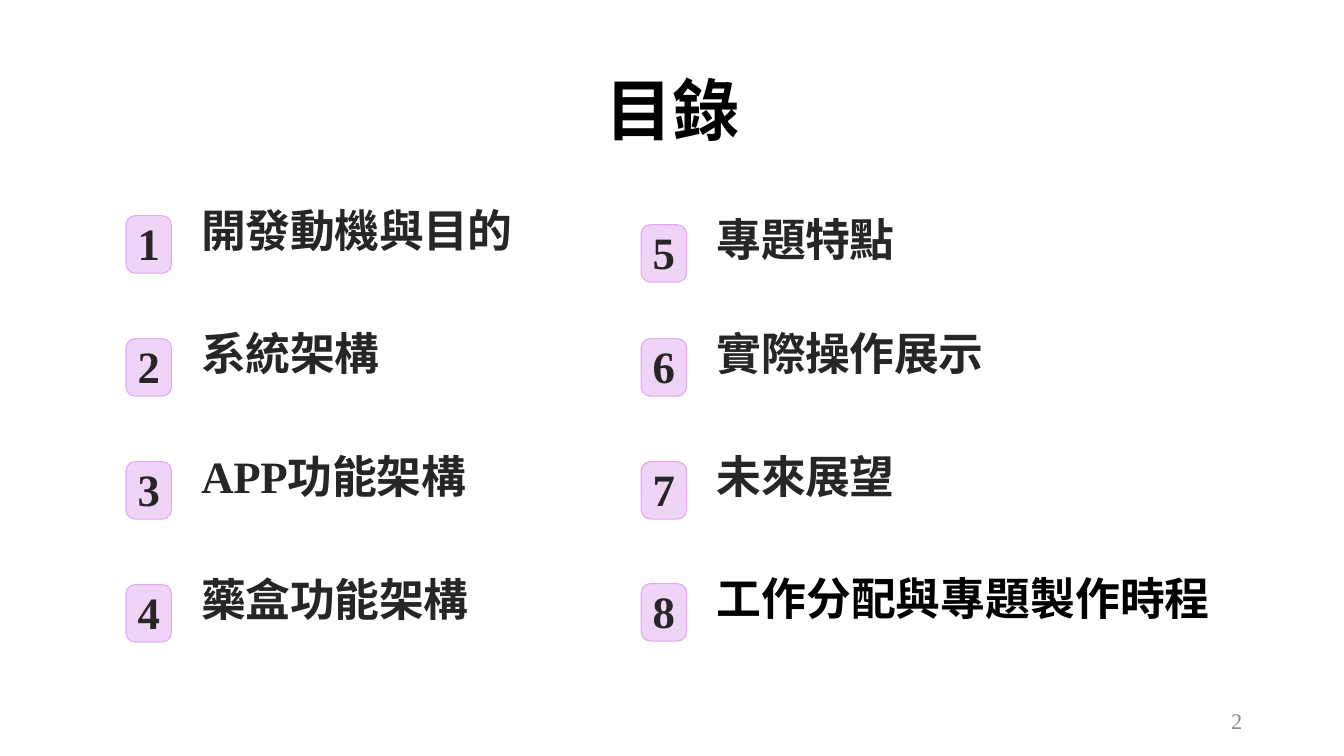
import pptx
import pptx.util
import pptx.dml.color
import pptx.enum.shapes
import pptx.enum.text
from dataclasses import dataclass

Inches = pptx.util.Inches
Pt = pptx.util.Pt
Align = pptx.enum.text.PP_ALIGN
Anchor = pptx.enum.text.MSO_ANCHOR


@dataclass(frozen=True)
class Theme:
    font: str = "Times New Roman"
    black: str = "000000"
    ink: str = "272525"
    gray: str = "8C8C8C"
    fill: str = "F0D4F7"
    edge: str = "E1A9EF"
    title: int = 48
    body: int = 32
    page: int = 16


THEME = Theme()
LEFT = ["開發動機與目的", "系統架構", "APP功能架構", "藥盒功能架構"]
RIGHT = ["專題特點", "實際操作展示", "未來展望", "工作分配與專題製作時程"]
LEFT_TOPS = [2.14 + 1.22 * row for row in range(4)]
RIGHT_TOPS = [2.23, 3.36, 4.58, 5.79]


def color(code):
    return pptx.dml.color.RGBColor.from_string(code)


def write(shapes, text, box, size, ink=THEME.ink, bold=True, align=Align.LEFT,
          anchor=Anchor.TOP, wrap=False, line=None, track=0, side=0.1):
    """Add a text box; track is letter spacing in 1/100 pt, side the side inset."""
    area = shapes.add_textbox(*map(Inches, box))
    frame = area.text_frame
    frame.word_wrap = wrap
    frame.vertical_anchor = anchor
    frame.margin_left = frame.margin_right = Inches(side)
    para = frame.paragraphs[0]
    para.alignment = align
    if line:
        para.line_spacing = line
    run = para.add_run()
    run.text = text
    font = run.font
    font.name, font.size, font.bold = THEME.font, Pt(size), bold
    font.color.rgb = color(ink)
    if track:
        run._r.get_or_add_rPr().set("spc", str(track))


def badge(shapes, num, left, top):
    tile = shapes.add_shape(pptx.enum.shapes.MSO_SHAPE.ROUNDED_RECTANGLE,
                            *map(Inches, (left, top, 0.45, 0.57)))
    tile.adjustments[0] = 0.2
    tile.shadow.inherit = False
    tile.fill.solid()
    tile.fill.fore_color.rgb = color(THEME.fill)
    tile.line.color.rgb = color(THEME.edge)
    tile.line.width = Pt(0.77)
    write(shapes, str(num), (left + 0.08, top + 0.16, 0.29, 0.48), THEME.body,
          align=Align.CENTER, line=Pt(23.2), track=-40, side=0)


def column(slide, items, tops, left, first, width):
    for num, (text, top) in enumerate(zip(items, tops), first):
        shapes = slide.shapes.add_group_shape().shapes
        badge(shapes, num, left, top)
        last = text == RIGHT[-1]
        write(shapes, text, (left + 0.65, top + 0.09, width, 0.4),
              THEME.body, ink=THEME.black if last else THEME.ink,
              line=Pt(19.3), track=0 if last else -30)


def agenda(deck):
    slide = deck.slides.add_slide(deck.slide_layouts[6])
    write(slide.shapes, "目錄", (0.92, 0.4, 11.5, 1.45), THEME.title,
          ink=THEME.black, align=Align.CENTER, anchor=Anchor.MIDDLE,
          wrap=True, line=0.9)
    column(slide, LEFT, LEFT_TOPS, 1.25, 1, 3.4)
    column(slide, RIGHT, RIGHT_TOPS, 6.36, 5, 5.2)
    write(slide.shapes, "2", (9.42, 6.95, 3, 0.4), THEME.page, ink=THEME.gray,
          bold=False, align=Align.RIGHT, anchor=Anchor.MIDDLE, wrap=True)


def main():
    deck = pptx.Presentation()
    deck.slide_width = Inches(13.33)
    deck.slide_height = Inches(7.5)
    agenda(deck)
    deck.save("out.pptx")


if __name__ == "__main__":
    main()
